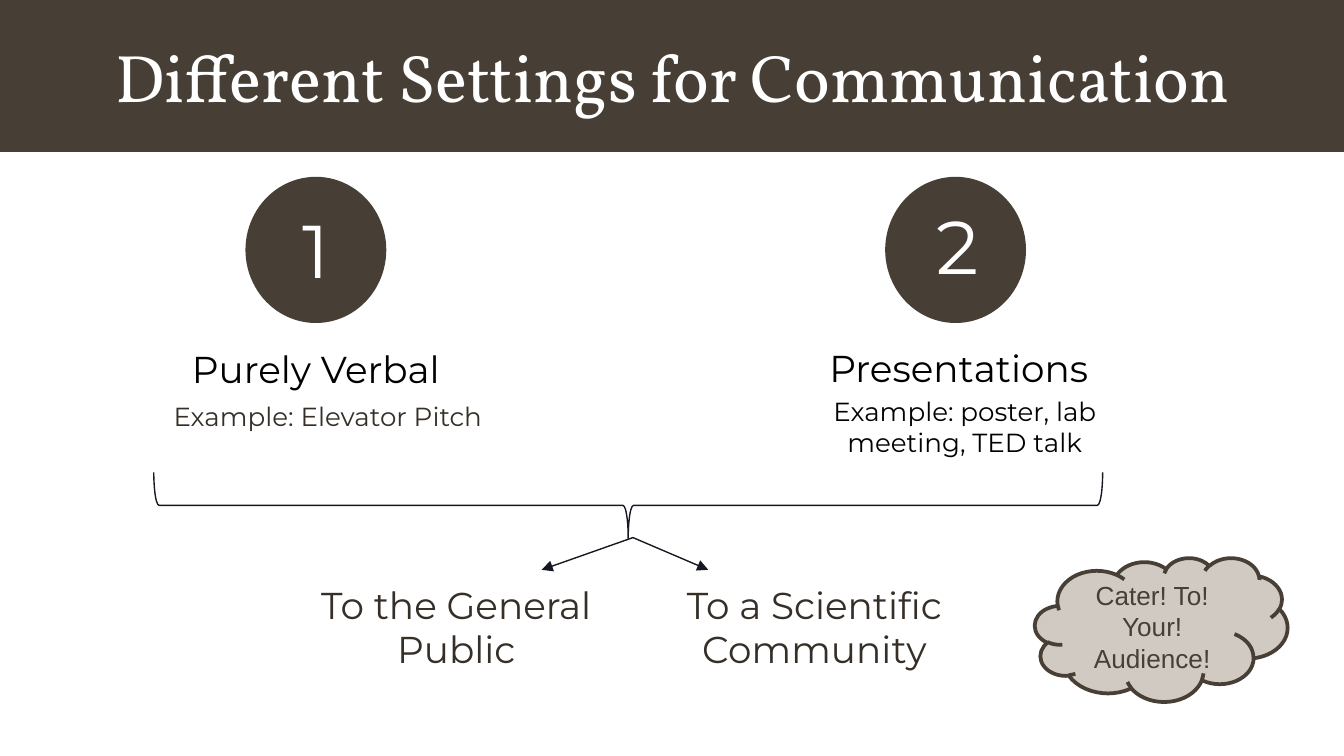
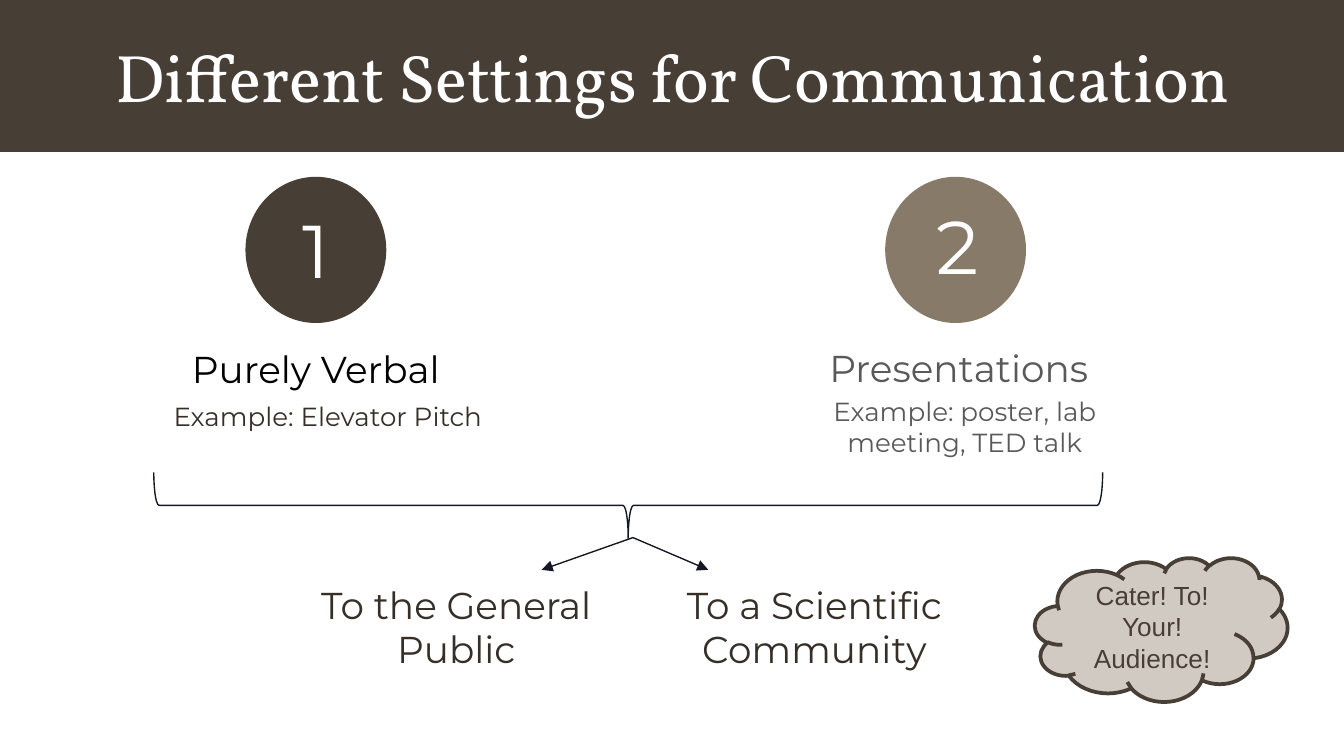
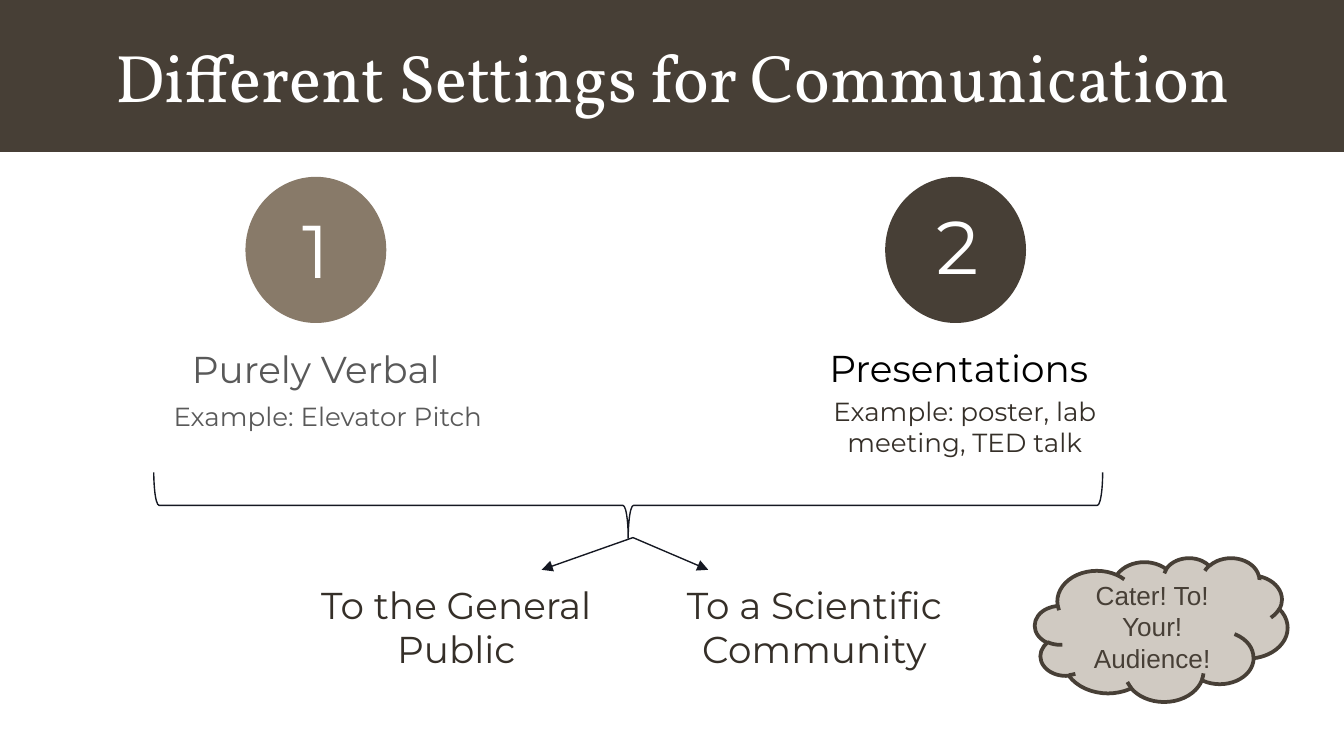
"""Build three slides on settings for communication."""
from dataclasses import dataclass

from lxml import etree
from pptx import Presentation
from pptx import util as u
from pptx.dml import color
from pptx.enum import shapes, text
from pptx.oxml import ns


@dataclass(frozen=True)
class Theme:
    """Colours, fonts and type sizes of the deck."""
    dark: str = "473F36"
    faded: str = "887A69"
    pale: str = "D0CAC2"
    white: str = "FFFFFF"
    black: str = "000000"
    brown: str = "352F28"
    grey: str = "595959"
    ink: str = "151822"
    serif: str = "Vollkorn"
    sans: str = "Montserrat"
    plain: str = "Arial"
    title: int = 36
    digit: int = 40
    head: int = 20
    note: int = 14
    thick: float = 2
    thin: float = 0.75


T = Theme()
KIND = shapes.MSO_SHAPE
TOP = text.MSO_ANCHOR.TOP
MIDDLE = text.MSO_ANCHOR.MIDDLE
LEFT = text.PP_ALIGN.LEFT
CENTER = text.PP_ALIGN.CENTER

WIDTH = u.Inches(10)
HEIGHT = WIDTH * 9 // 16

TITLE = "Different Settings for Communication"
TOPICS = [
    dict(digit="1", disc=(1.84, 1.33, 1.02, 1.06), spot=(2.15, 1.47, 0.41, 0.77),
         head="Purely Verbal", top=(1.31, 2.53, 2.08, 0.44),
         note="Example: Elevator Pitch", low=(1.15, 2.93, 2.58, 0.34)),
    dict(digit="2", disc=(6.6, 1.33, 1.02, 1.06), spot=(6.87, 1.44, 0.52, 0.77),
         head="Presentations", top=(6.06, 2.52, 2.15, 0.44),
         note="Example: poster, lab meeting, TED talk", low=(5.89, 2.89, 2.58, 0.57)),
]
CROWDS = [("To the General Public", (2.24, 4.28, 2.31, 0.77)),
          ("To a Scientific Community", (4.71, 4.28, 2.7, 0.77))]
FORK = (4.71, 4)
TIPS = [(4.03, 4.24), (5.27, 4.24)]

BOLD = (T.dark, T.black, T.brown)
STARK = (T.dark, T.black, T.black)
DIM = (T.faded, T.grey, T.grey)
LOOKS = [(BOLD, STARK), (BOLD, DIM), (DIM, BOLD)]


def inch(*nums):
    """Turn numbers into lengths in inches."""
    return [u.Inches(n) for n in nums]


def rgb(code):
    """Turn a hex code into a colour."""
    return color.RGBColor.from_string(code)


def style(item, **values):
    """Set each given attribute on an object."""
    for key, value in values.items():
        setattr(item, key, value)


def stroke(item, tint, width):
    """Colour the line of a shape or connector."""
    item.line.color.rgb = rgb(tint)
    item.line.width = u.Pt(width)


def write(item, words, size, tint, face=T.sans, align=CENTER, wrap=True,
          anchor=TOP, fit=text.MSO_AUTO_SIZE.SHAPE_TO_FIT_TEXT):
    """Put formatted words into a shape."""
    frame = item.text_frame
    style(frame, word_wrap=wrap, vertical_anchor=anchor, auto_size=fit)
    para = frame.paragraphs[0]
    para.alignment = align
    run = para.add_run()
    run.text = words
    style(run.font, name=face, size=u.Pt(size))
    run.font.color.rgb = rgb(tint)


def label(slide, words, box, size, tint, **extra):
    """Add a text box."""
    write(slide.shapes.add_textbox(*inch(*box)), words, size, tint, **extra)


def form(slide, kind, box, fill, edge, width=T.thick):
    """Add a preset shape without shadow."""
    item = slide.shapes.add_shape(kind, *inch(*box))
    item.shadow.inherit = False
    if fill:
        item.fill.solid()
        item.fill.fore_color.rgb = rgb(fill)
    else:
        item.fill.background()
    stroke(item, edge, width)
    return item


def arrow(slide, start, end):
    """Add a thin line with an arrowhead at its end."""
    item = slide.shapes.add_connector(
        shapes.MSO_CONNECTOR.STRAIGHT, *inch(*start, *end))
    stroke(item, T.ink, T.thin)
    line = item._element.spPr.find(ns.qn("a:ln"))
    etree.SubElement(line, ns.qn("a:tailEnd")).set("type", "triangle")
    etree.SubElement(item._element.spPr, ns.qn("a:effectLst"))


def banner(slide):
    """Add the title on its dark band."""
    band = form(slide, KIND.RECTANGLE, (0, 0, 10, 1.12), T.dark, T.dark)
    slide.shapes._spTree.insert(2, band._element)
    head = slide.shapes.title
    left, top, width, height = inch(0.6, 0.21, 8.81, 0.71)
    style(head, left=left, top=top, width=width, height=height)
    write(head, TITLE, T.title, T.white, face=T.serif, wrap=False)


def topic(slide, item, look):
    """Add a numbered disc with its heading and example."""
    disc, head, note = look
    form(slide, KIND.OVAL, item["disc"], disc, disc)
    label(slide, item["digit"], item["spot"], T.digit, T.white,
          align=LEFT, wrap=False)
    label(slide, item["head"], item["top"], T.head, head, wrap=False)
    label(slide, item["note"], item["low"], T.note, note)


def split(slide):
    """Add the brace, its two arrows and the crowds below."""
    brace = form(slide, KIND.LEFT_BRACE, (4.43, 0.23, 0.49, 7.06),
                 None, T.ink, T.thin)
    brace.rotation = 270
    brace.adjustments[0] = 0.08
    brace.adjustments[1] = 0.5
    for tip in TIPS:
        arrow(slide, FORK, tip)
    for words, box in CROWDS:
        label(slide, words, box, T.head, T.brown)


def cloud(slide):
    """Add the reminder in a cloud."""
    item = form(slide, KIND.CLOUD, (7.7, 4.15, 1.88, 1.07), T.pale, T.dark)
    write(item, "Cater! To! Your! Audience!", T.note, T.dark, face=T.plain,
          anchor=MIDDLE, fit=text.MSO_AUTO_SIZE.NONE)


def main():
    """Build and save the deck."""
    deck = Presentation()
    style(deck, slide_width=WIDTH, slide_height=HEIGHT)
    for looks in LOOKS:
        slide = deck.slides.add_slide(deck.slide_layouts[5])
        banner(slide)
        for item, look in zip(TOPICS, looks):
            topic(slide, item, look)
        split(slide)
        cloud(slide)
    deck.save("out.pptx")


if __name__ == "__main__":
    main()
